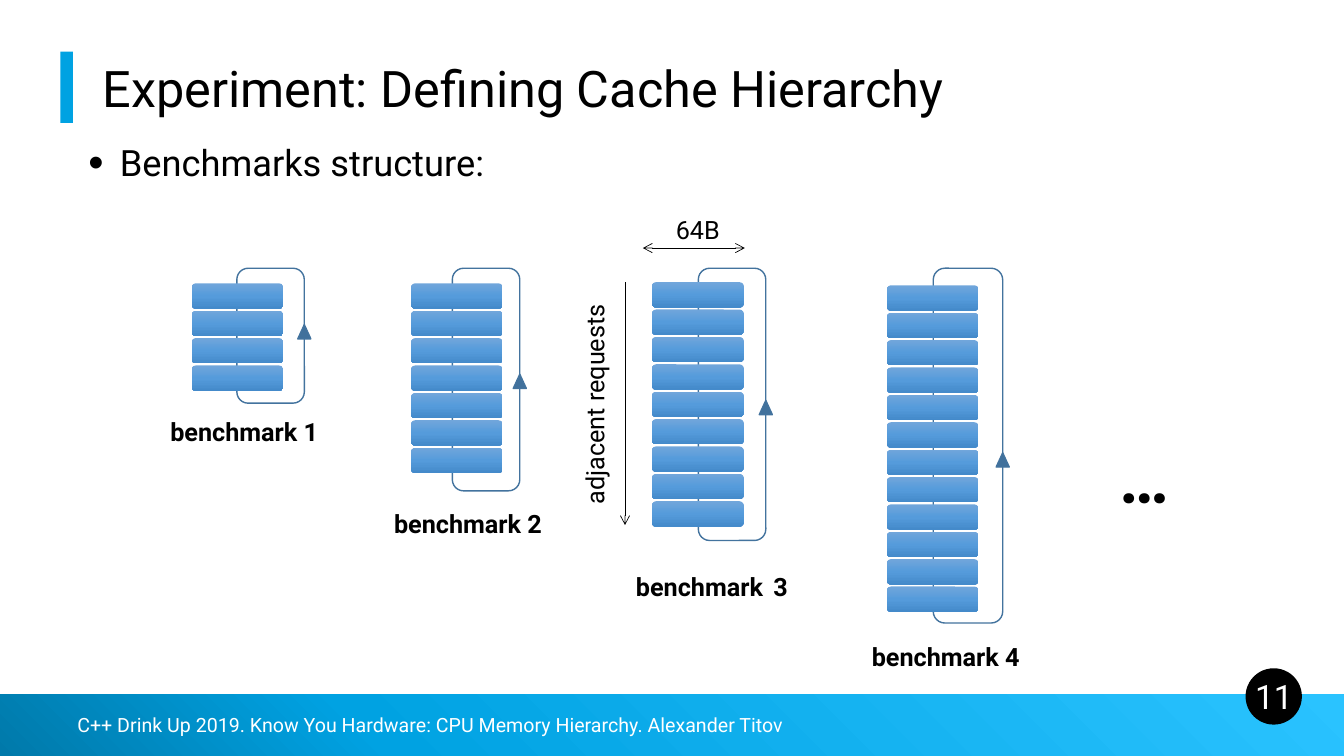
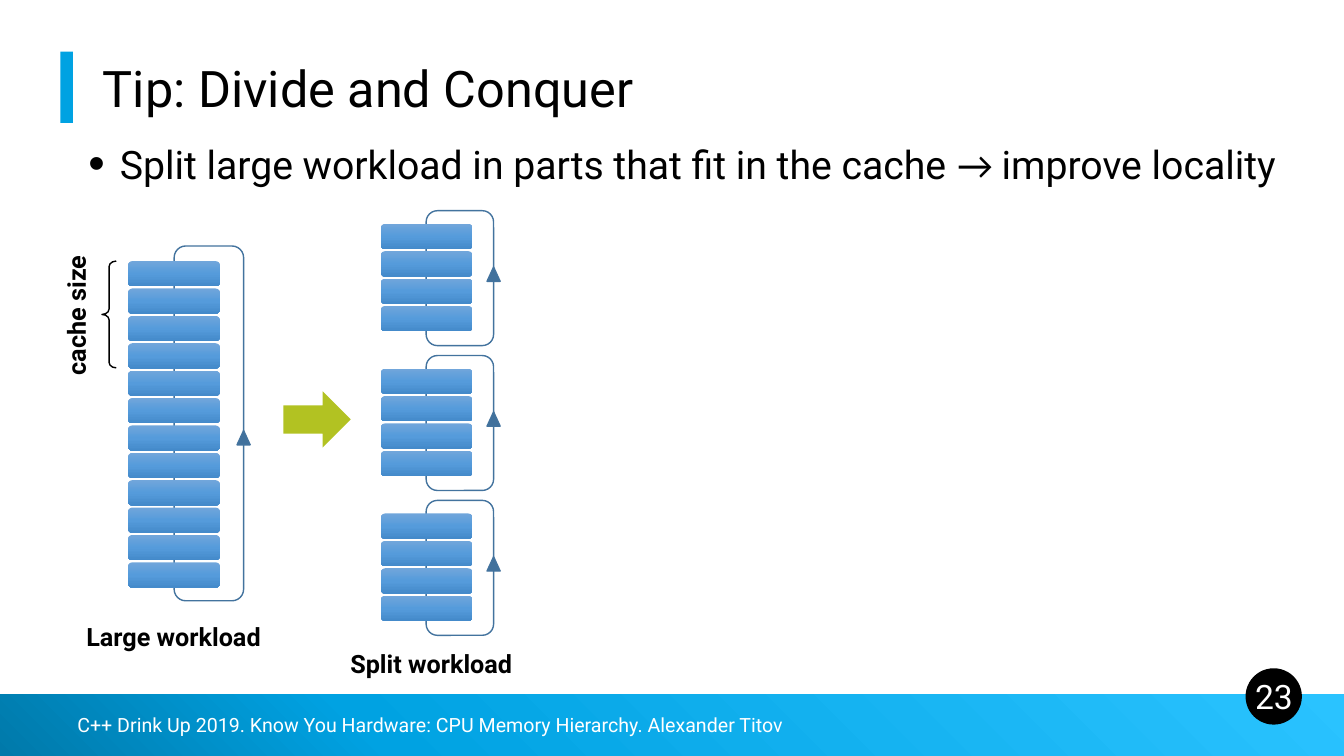
from dataclasses import dataclass
from typing import NamedTuple

from lxml import etree
from pptx import Presentation
from pptx import util as u
from pptx.dml import color
from pptx.enum import shapes, text
from pptx.oxml import ns

HUES = {
    "black": "000000",
    "white": "FFFFFF",
    "cyan": "00A2E2",
    "lime": "B2C222",
    "rim": "43739E",
    "tip": "41719C",
}
# Gradients: stops as (percent, hex), then the counter-clockwise angle
BAND = (((0, "0079AA"), (28, "00A2E2"), (100, "2AC3FF")), 45)
STEEL = (((0, "71A6DB"), (50, "559BDB"), (100, "448ACA")), 270)
FONT = "Roboto"
FOOT = "C++ Drink Up 2019. Know You Hardware: CPU Memory Hierarchy. Alexander Titov"

# Block grid and loop marker, in cm
WIDE, HIGH, PITCH = 2.31, 0.64, 0.69
TIP_W, TIP_H = 0.33, 0.36

KIND = shapes.MSO_SHAPE
MID, TOP, BASE = (text.MSO_ANCHOR.MIDDLE, text.MSO_ANCHOR.TOP,
                  text.MSO_ANCHOR.BOTTOM)
LEFT, MIDST = text.PP_ALIGN.LEFT, text.PP_ALIGN.CENTER


class Box(NamedTuple):
    """A frame in centimetres."""
    x: float
    y: float
    w: float
    h: float

    def cm(self) -> list:
        return [u.Cm(v) for v in self]


@dataclass
class Stack:
    """A column of memory blocks and the loop that runs round it."""
    x: float
    y: float
    count: int
    loop: Box
    tip: float  # marker's distance below the top of the loop


@dataclass
class Label:
    words: str
    box: Box
    bold: bool = True
    size: float = 18
    turn: float = 0


def rgb(name: str) -> color.RGBColor:
    return color.RGBColor.from_string(HUES[name])


def add(parent, tag: str, **attrs):
    return etree.SubElement(parent, ns.qn(tag), **attrs)


# Text
def write(frame, words: str, *, size: float = 18, hue: str = "black",
          bold: bool = False, align=MIDST, anchor=MID, wrap: bool = True,
          space: float = 1.0, dot: bool = False, lead: str = "") -> None:
    frame.word_wrap = wrap
    frame.auto_size = text.MSO_AUTO_SIZE.NONE
    frame.vertical_anchor = anchor
    para = frame.paragraphs[0]
    if dot:
        props = para._p.get_or_add_pPr()
        props.set("marL", str(u.Cm(0.79)))
        props.set("indent", str(-u.Cm(0.79)))
        add(props, "a:buSzPct", val="120000")
        add(props, "a:buFont", typeface="Arial")
        add(props, "a:buChar", char="•")
    para.alignment = align
    para.line_spacing = space
    for part, face in ((lead, "Calibri"), (words, FONT)):
        if part:
            run = para.add_run()
            run.text = part
            run.font.name = face
            run.font.size = u.Pt(size)
            run.font.bold = bold
            run.font.color.rgb = rgb(hue)


def put(slide, box: Box, words: str, *, turn: float = 0, **form):
    area = slide.shapes.add_textbox(*box.cm())
    area.rotation = turn
    write(area.text_frame, words, **form)
    return area


def tag(slide, item: Label) -> None:
    put(slide, item.box, item.words, turn=item.turn, size=item.size,
        bold=item.bold, wrap=False)


# Shapes
def draw(slide, kind, box: Box, *, fill: str = "", blend: tuple = (),
         line: str = ""):
    item = slide.shapes.add_shape(kind, *box.cm())
    item.shadow.inherit = False
    if blend:
        stops, angle = blend
        item.fill.gradient()
        item.fill.gradient_angle = angle
        group = item.element.spPr.find(".//" + ns.qn("a:gsLst"))
        for old in list(group):
            group.remove(old)
        for spot, shade in stops:
            stop = add(group, "a:gs", pos=str(spot * 1000))
            add(stop, "a:srgbClr", val=shade)
    elif fill:
        item.fill.solid()
        item.fill.fore_color.rgb = rgb(fill)
    else:
        item.fill.background()
    if line:
        item.line.color.rgb = rgb(line)
        item.line.width = u.Pt(1)
    else:
        item.line.fill.background()
    return item


def arrow(slide, x: float, y: float, x2: float, y2: float,
          both: bool = False) -> None:
    line = slide.shapes.add_connector(
        shapes.MSO_CONNECTOR.STRAIGHT, *(u.Cm(v) for v in (x, y, x2, y2)))
    line.line.color.rgb = rgb("black")
    line.line.width = u.Pt(0.5)
    stroke = line.line._get_or_add_ln()
    if both:
        add(stroke, "a:headEnd", type="arrow")
    add(stroke, "a:tailEnd", type="arrow")
    add(line.element.spPr, "a:effectLst")


def pile(slide, stack: Stack) -> None:
    loop = stack.loop
    draw(slide, KIND.ROUNDED_RECTANGLE, loop, line="rim")
    mark = Box(loop.x + loop.w - TIP_W / 2, loop.y + stack.tip, TIP_W, TIP_H)
    draw(slide, KIND.ISOSCELES_TRIANGLE, mark, fill="tip", line="rim")
    for i in range(stack.count):
        block = Box(stack.x, stack.y + i * PITCH, WIDE, HIGH)
        draw(slide, KIND.ROUNDED_RECTANGLE, block, blend=STEEL)


# Shared look
def brand(slide) -> None:
    """Draw the bands and footer, then hand them to the slide's layout."""
    layout = slide.slide_layout
    for holder in list(layout.placeholders)[1:]:
        layout.shapes.element.remove(holder.element)
    parts = [
        draw(slide, KIND.RECTANGLE, Box(0, 17.5, 33.87, 1.55), blend=BAND),
        draw(slide, KIND.RECTANGLE, Box(1.52, 1.3, 0.32, 1.8), fill="cyan"),
        draw(slide, KIND.OVAL, Box(31.39, 16.84, 1.42, 1.42), fill="black"),
        put(slide, Box(1.7, 17.65, 27.94, 1.22), FOOT, size=14, hue="white",
            align=LEFT),
    ]
    for part in parts:
        layout.shapes.element.append(part.element)


def start(deck, title: str, page: int, point: str, size: float):
    slide = deck.slides.add_slide(deck.slide_layouts[5])
    if page == PAGES[0]:
        brand(slide)
    head = slide.shapes.title
    head.left, head.top, head.width, head.height = Box(2.34, 0, 29.21, 3.1).cm()
    write(head.text_frame, title, size=36, align=LEFT, anchor=BASE, space=0.9)
    put(slide, Box(1.98, 3.63, 30.35, 1.22), point, size=size, align=LEFT,
        anchor=TOP, space=0.8, dot=True)
    put(slide, Box(31.19, 16.84, 1.83, 1.42), str(page), size=24, hue="white")
    return slide


PAGES = (11, 23)


# Slide: benchmarks of growing size
def bench(deck) -> None:
    slide = start(deck, "Experiment: Defining Cache Hierarchy", PAGES[0],
                  "Benchmarks structure:", 25.9)
    for stack in (
        Stack(4.83, 7.14, 4, Box(5.97, 6.76, 1.7, 3.4), 1.42),
        Stack(10.36, 7.14, 7, Box(11.4, 6.76, 1.7, 5.61), 2.67),
        Stack(16.43, 7.11, 9, Box(17.6, 6.76, 1.7, 6.86), 3.33),
        Stack(22.35, 7.19, 12, Box(23.52, 6.76, 1.75, 8.94), 4.65),
    ):
        pile(slide, stack)
    for label in (
        Label("benchmark 1", Box(4.01, 10.36, 4.29, 1.02)),
        Label("benchmark 2", Box(9.65, 12.67, 4.29, 1.02)),
        Label("benchmark", Box(15.75, 14.27, 3.76, 1.02)),
        Label("3", Box(19.23, 14.27, 0.89, 1.02)),
        Label("benchmark 4", Box(21.69, 16.03, 4.29, 1.02)),
        Label("…", Box(27.94, 10.85, 1.78, 2.31), size=48),
        Label("64B", Box(16.76, 5.26, 1.65, 1.02), bold=False),
        Label("adjacent requests", Box(12.09, 9.68, 5.77, 1.02), bold=False,
              turn=270),
    ):
        tag(slide, label)
    arrow(slide, 16.2, 6.25, 18.77, 6.25, both=True)
    arrow(slide, 15.75, 7.11, 15.75, 13.23)


# Slide: one large workload split in three
def split(deck) -> None:
    slide = start(deck, "Tip: Divide and Conquer", PAGES[1],
                  "Split large workload in parts that fit in the cache", 28)
    put(slide, Box(23.88, 3.4, 8.64, 1.45), "improve locality", lead="→ ",
        size=28, align=LEFT, anchor=TOP, wrap=False)
    pile(slide, Stack(3.23, 6.58, 12, Box(4.39, 6.2, 1.75, 8.94), 4.65))
    for i in range(3):
        drop = i * 3.65
        pile(slide, Stack(9.6, 5.64 + drop, 4,
                          Box(10.74, 5.31 + drop, 1.7, 3.4), 1.42))
    brace = draw(slide, KIND.LEFT_BRACE, Box(2.57, 6.58, 0.36, 2.69),
                 line="black")
    brace.adjustments[0] = 0.38
    draw(slide, KIND.RIGHT_ARROW, Box(7.14, 9.86, 1.7, 1.42), fill="lime")
    for label in (
        Label("cache size", Box(0.13, 7.44, 3.56, 1.02), turn=270),
        Label("Large workload", Box(1.9, 15.54, 4.95, 1.02)),
        Label("Split workload", Box(8.56, 16.21, 4.62, 1.02)),
    ):
        tag(slide, label)


def main() -> None:
    deck = Presentation()
    deck.slide_width, deck.slide_height = u.Cm(33.87), u.Cm(19.05)
    bench(deck)
    split(deck)
    deck.save("out.pptx")


if __name__ == "__main__":
    main()
